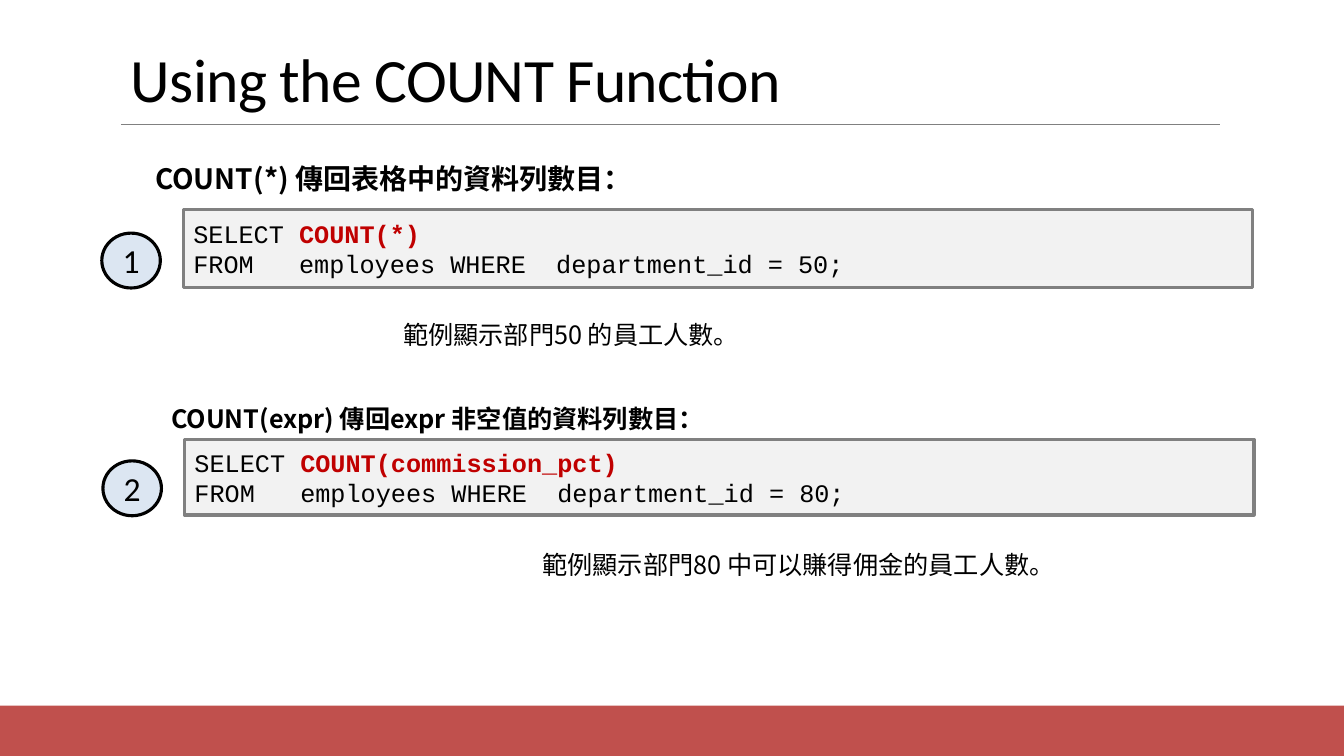
from lxml.etree import SubElement
from pptx import Presentation
from pptx.dml.color import RGBColor
from pptx.enum.shapes import MSO_CONNECTOR, MSO_SHAPE
from pptx.enum.text import MSO_ANCHOR, MSO_AUTO_SIZE, PP_ALIGN
from pptx.oxml.ns import qn
from pptx.util import Pt

BLACK = RGBColor(0, 0, 0)
RED = RGBColor(0xC0, 0, 0)
BAND = RGBColor(0xC0, 0x50, 0x4D)
GRAY = RGBColor(0x80, 0x80, 0x80)
PALE = RGBColor(0xF2, 0xF2, 0xF2)
BLUE = RGBColor(0xDC, 0xE6, 0xF2)
CJK = "Noto Sans CJK SC"
MONO = "Courier New"


def apply(item, values):
    """Set every attribute in a dict of format values."""
    for name, value in values.items():
        setattr(item, name, value)


def add_run(para, text, face, size, color=BLACK, bold=False):
    """Add one formatted run to a paragraph."""
    run = para.add_run()
    run.text = text
    apply(run.font, {"name": face, "size": Pt(size), "bold": bold})
    run.font.color.rgb = color
    SubElement(run.font._element, qn("a:ea"), typeface=face)
    return run


def add_form(slide, kind, box, fill, edge=None):
    """Draw a filled preset shape, outlined if an edge colour is given."""
    form = slide.shapes.add_shape(kind, *map(Pt, box))
    form.shadow.inherit = False
    form.fill.solid()
    form.fill.fore_color.rgb = fill
    if edge is None:
        form.line.fill.background()
    else:
        form.line.color.rgb = edge
        form.line.width = Pt(2.25)
    form.text_frame.vertical_anchor = MSO_ANCHOR.MIDDLE
    return form


def add_label(slide, box, text, size=18, bold=False, **frame):
    """Write a line of Chinese text in a box."""
    area = slide.shapes.add_textbox(*map(Pt, box)).text_frame
    apply(area, {"word_wrap": False, "auto_size": MSO_AUTO_SIZE.SHAPE_TO_FIT_TEXT, **frame})
    para = area.paragraphs[0]
    add_run(para, text, CJK, size, bold=bold)
    return para


def add_head(slide, box):
    """Place the title and the rule beneath it."""
    left, top, width, height = box
    area = slide.shapes.add_textbox(*map(Pt, box)).text_frame
    apply(area, {"word_wrap": True, "vertical_anchor": MSO_ANCHOR.BOTTOM})
    para = area.paragraphs[0]
    para.line_spacing = 0.85
    run = add_run(para, "Using the COUNT Function", "Calibri", 44)
    run.font._element.set("spc", "-50")
    y = Pt(top + height + 2.9)
    rule = slide.shapes.add_connector(
        MSO_CONNECTOR.STRAIGHT, Pt(left), y, Pt(left + width - 7.2), y)
    rule.line.color.rgb = GRAY
    rule.line.width = Pt(0.5)
    SubElement(rule._element.spPr, qn("a:effectLst"))


def add_query(slide, box, number, call, dept):
    """Place a code panel with its numbered badge at the lower left."""
    left, top, width, height = box
    panel = add_form(slide, MSO_SHAPE.RECTANGLE, box, PALE, GRAY)
    area = panel.text_frame
    first, second = area.paragraphs[0], area.add_paragraph()
    first.alignment = second.alignment = PP_ALIGN.LEFT
    add_run(first, "SELECT ", MONO, 18)
    add_run(first, call, MONO, 18, RED, True)
    add_run(second, f"FROM   employees WHERE  department_id = {dept};", MONO, 18)
    spot = (left - 58.3, top + height - 38.7, 41.8, 39.2)
    badge = add_form(slide, MSO_SHAPE.OVAL, spot, BLUE, BLACK)
    badge.text_frame.word_wrap = False
    para = badge.text_frame.paragraphs[0]
    para.alignment = PP_ALIGN.CENTER
    add_run(para, str(number), "Calibri", 24)


def main():
    """Build and save the slide."""
    deck = Presentation()
    apply(deck, {"slide_width": Pt(960), "slide_height": Pt(540)})
    slide = deck.slides.add_slide(deck.slide_layouts[6])
    add_form(slide, MSO_SHAPE.RECTANGLE, (0, 504, 960, 36), BAND)
    add_head(slide, (86.4, 0, 792, 85.7))
    lead = add_label(slide, (103.7, 114.5, 831.6, 36), "COUNT(*) 傳回表格中的資料列數目：",
                     20, True, word_wrap=True, auto_size=MSO_AUTO_SIZE.NONE)
    lead.line_spacing = 0.9
    add_query(slide, (131, 149.8, 764, 55.4), 1, "COUNT(*)", 50)
    add_label(slide, (280.8, 224.6, 258.5, 28.8), "範例顯示部門50 的員工人數。")
    add_label(slide, (115.2, 284.4, 398.9, 28.8),
              "COUNT(expr) 傳回expr 非空值的資料列數目：", bold=True)
    add_query(slide, (131.8, 313.9, 764, 54), 2, "COUNT(commission_pct)", 80)
    add_label(slide, (380.2, 388.8, 382.3, 28.8), "範例顯示部門80 中可以賺得佣金的員工人數。")
    deck.save("out.pptx")


if __name__ == "__main__":
    main()
